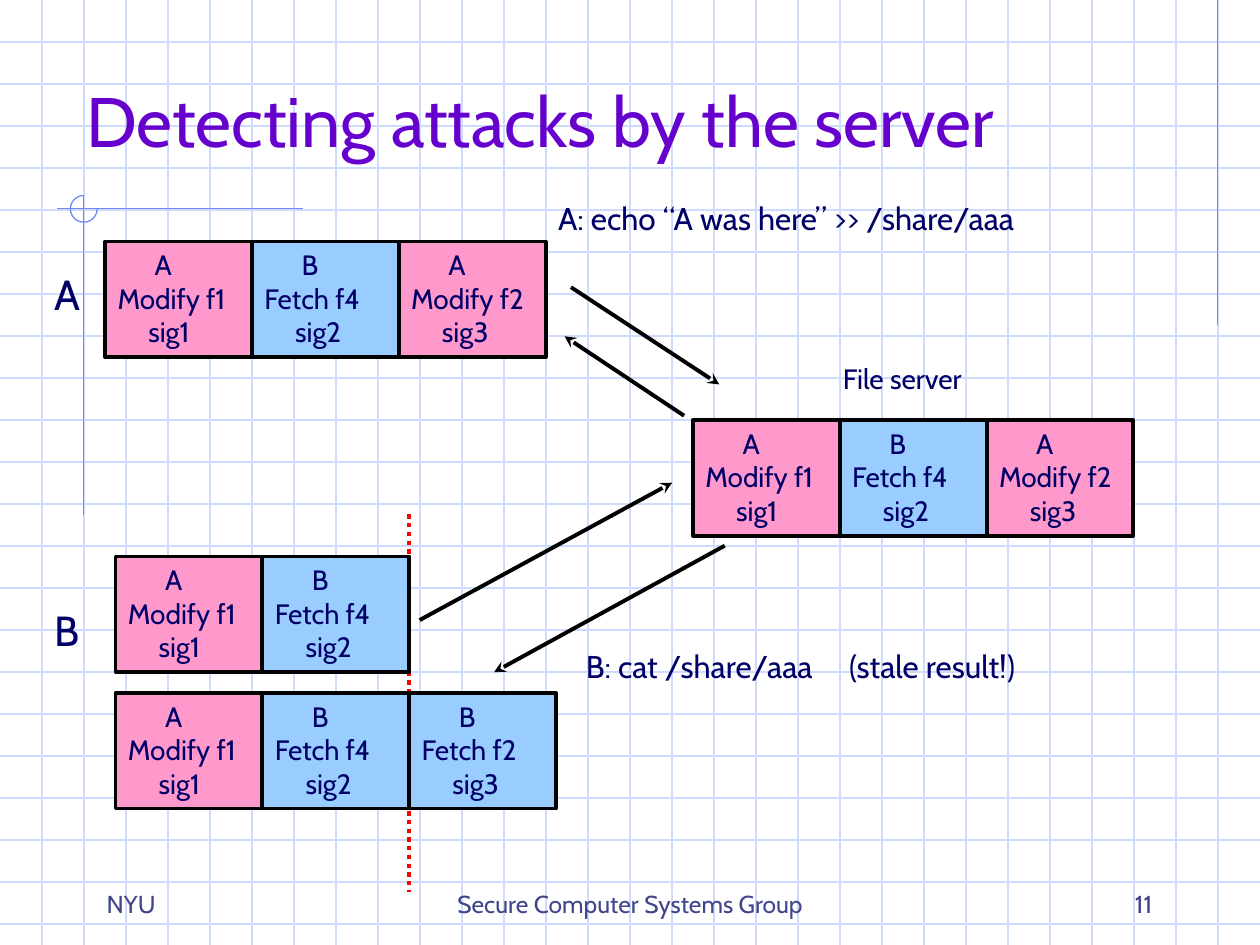
from dataclasses import dataclass

from lxml.etree import SubElement
from pptx import Presentation
from pptx.dml.color import RGBColor
from pptx.enum.dml import MSO_LINE
from pptx.enum.shapes import MSO_CONNECTOR, MSO_SHAPE
from pptx.enum.text import MSO_ANCHOR, MSO_AUTO_SIZE, PP_ALIGN
from pptx.oxml.ns import qn
from pptx.util import Cm, Pt

WIDE, HIGH = 25.4, 19.05
STEP = WIDE / 30                 # background grid pitch
BLOCK_W, BLOCK_H = 2.96, 2.33    # one log entry


@dataclass(frozen=True)
class Theme:
    font: str = "Cabin"
    title: str = "6600CC"
    ink: str = "000066"
    foot: str = "40458C"
    grid: str = "CFDBFD"
    trim: str = "6F89F7"
    edge: str = "000000"
    split: str = "FF0000"
    pink: str = "FF99CC"
    blue: str = "99CCFF"
    title_pt: int = 40
    name_pt: int = 24
    call_pt: int = 18
    block_pt: int = 16
    foot_pt: int = 14


class Board:
    def __init__(self, slide, theme):
        self.slide, self.theme = slide, theme
        self.shapes = slide.shapes

    def style(self, para, size, color, align=PP_ALIGN.LEFT):
        para.alignment = align
        para.font.name = self.theme.font
        para.font.size = Pt(size)
        para.font.color.rgb = RGBColor.from_string(color)

    def line(self, x1, y1, x2, y2, color, width=0.75, dash=None, arrow=False):
        link = self.shapes.add_connector(
            MSO_CONNECTOR.STRAIGHT, Cm(x1), Cm(y1), Cm(x2), Cm(y2))
        link.line.color.rgb = RGBColor.from_string(color)
        link.line.width = Pt(width)
        if dash:
            link.line.dash_style = dash
        if arrow:
            SubElement(link.line._get_or_add_ln(), qn("a:tailEnd"), type="stealth")
        SubElement(link._element.spPr, qn("a:effectLst"))

    def arrow(self, *ends):
        self.line(*ends, self.theme.edge, 2.25, arrow=True)

    def arc(self, x, y, size):
        ring = self.shapes.add_shape(MSO_SHAPE.ARC, Cm(x), Cm(y), Cm(size), Cm(size))
        ring.shadow.inherit = False
        ring.adjustments[0], ring.adjustments[1] = 0, 162    # 0 to 270 degrees
        ring.fill.background()
        ring.line.color.rgb = RGBColor.from_string(self.theme.trim)
        ring.line.width = Pt(0.75)

    def title(self, text, x, y, w, h):
        box = self.shapes.title
        box.left, box.top, box.width, box.height = Cm(x), Cm(y), Cm(w), Cm(h)
        frame = box.text_frame
        frame.text = text
        frame.auto_size = MSO_AUTO_SIZE.NONE
        frame.vertical_anchor = MSO_ANCHOR.BOTTOM
        self.style(frame.paragraphs[0], self.theme.title_pt, self.theme.title)
        self.shapes._spTree.append(box._element)    # in front of the grid

    def text(self, text, x, y, w, h, size):
        frame = self.shapes.add_textbox(Cm(x), Cm(y), Cm(w), Cm(h)).text_frame
        frame.text = text
        frame.word_wrap = False
        frame.auto_size = MSO_AUTO_SIZE.SHAPE_TO_FIT_TEXT
        self.style(frame.paragraphs[0], size, self.theme.ink)

    def footer(self, text, x, w, align):
        frame = self.shapes.add_textbox(Cm(x), Cm(17.36), Cm(w), Cm(1.27)).text_frame
        frame.text = text
        frame.word_wrap = True
        frame.vertical_anchor = MSO_ANCHOR.BOTTOM
        self.style(frame.paragraphs[0], self.theme.foot_pt, self.theme.foot, align)

    def block(self, x, y, user, action, sig):
        box = self.shapes.add_shape(
            MSO_SHAPE.RECTANGLE, Cm(x), Cm(y), Cm(BLOCK_W), Cm(BLOCK_H))
        box.shadow.inherit = False
        box.fill.solid()
        fill = self.theme.pink if user == "A" else self.theme.blue
        box.fill.fore_color.rgb = RGBColor.from_string(fill)
        box.line.color.rgb = RGBColor.from_string(self.theme.edge)
        box.line.width = Pt(2.25)
        frame = box.text_frame
        frame.text = "\n".join((user, action, sig))
        frame.vertical_anchor = MSO_ANCHOR.TOP
        for para, indent in zip(frame.paragraphs, (0.75, 0, 0.62)):
            para._p.get_or_add_pPr().set("marL", str(Cm(indent)))
            self.style(para, self.theme.block_pt, self.theme.ink)

    def log(self, x, y, entries):
        for i, (user, action) in enumerate(entries):
            self.block(x + i * BLOCK_W, y, user, action, f"sig{i + 1}")


def main():
    deck = Presentation()
    deck.slide_width, deck.slide_height = Cm(WIDE), Cm(HIGH)
    theme = Theme()
    board = Board(deck.slides.add_slide(deck.slide_layouts[5]), theme)

    # Background grid
    for i in range(1, 23):
        board.line(0, i * STEP, WIDE, i * STEP, theme.grid)
    for i in range(1, 30):
        board.line(i * STEP, 0, i * STEP, HIGH, theme.grid)

    # Corner trim
    board.line(24.55, 0, 24.55, 6.55, theme.trim)
    board.line(6.1, 4.21, 1.14, 4.21, theme.trim)
    board.line(1.69, 3.94, 1.69, 10.39, theme.trim)
    board.arc(1.42, 3.94, 0.54)

    board.title("Detecting attacks by the server", 1.48, 0.2, 23.7, 3.18)

    # Point where the logs diverge
    board.line(8.25, 10.37, 8.25, 17.98, theme.split, 2.5, MSO_LINE.ROUND_DOT)

    # Logs of the clients and the server
    shared = [("A", "Modify f1"), ("B", "Fetch f4")]
    full = shared + [("A", "Modify f2")]
    stale = shared + [("B", "Fetch f2")]
    for x, y, entries in ((2.12, 4.87, full), (13.97, 8.47, full),
                          (2.33, 11.22, shared), (2.33, 13.97, stale)):
        board.log(x, y, entries)

    # Requests and replies
    board.arrow(11.51, 5.79, 14.5, 7.75)
    board.arrow(13.79, 8.38, 11.38, 6.78)
    board.arrow(8.46, 12.5, 13.55, 9.73)
    board.arrow(14.61, 11, 9.96, 13.55)

    # Labels
    board.text("A", 0.85, 5.29, 1.02, 1.27, theme.name_pt)
    board.text("B", 0.85, 12.07, 1.04, 1.27, theme.name_pt)
    board.text("A: echo “A was here” >> /share/aaa", 11, 3.89, 10.85, 1.02, theme.call_pt)
    board.text("B: cat /share/aaa", 11.56, 12.91, 5.51, 1.02, theme.call_pt)
    board.text("(stale result!)", 16.87, 12.91, 4.34, 1.02, theme.call_pt)
    board.text("File server", 16.74, 7.16, 3.2, 0.94, theme.block_pt)

    # Footer
    board.footer("NYU", 1.9, 5.28, PP_ALIGN.LEFT)
    board.footer("Secure Computer Systems Group", 8.68, 8.05, PP_ALIGN.CENTER)
    board.footer("11", 18.2, 5.28, PP_ALIGN.RIGHT)

    deck.save("out.pptx")


if __name__ == "__main__":
    main()
